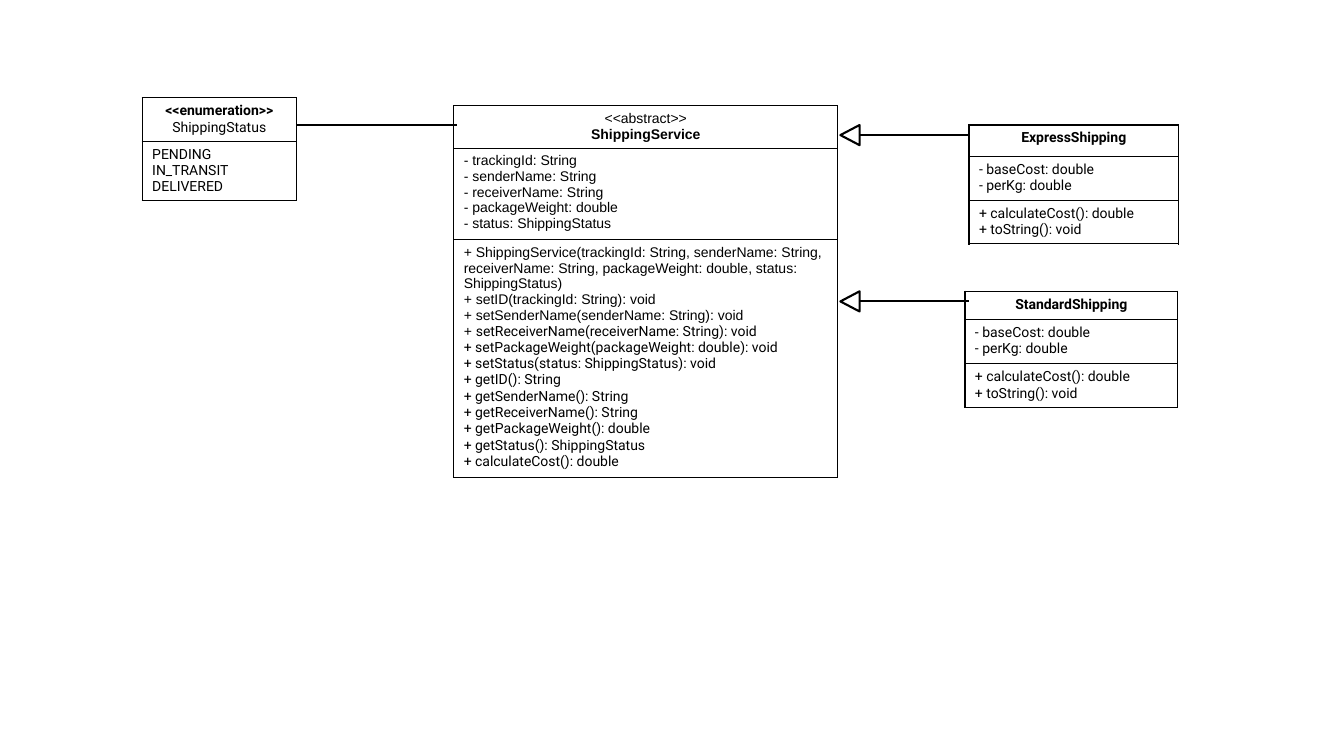
"""Build a UML class diagram slide for a shipping service."""
from pptx import Presentation
from pptx.dml.color import RGBColor
from pptx.enum import shapes, text
from pptx.oxml import parse_xml
from pptx.oxml.ns import nsdecls, qn
from pptx.oxml.xmlchemy import OxmlElement
from pptx.util import Inches, Pt

BLACK = RGBColor(0x00, 0x00, 0x00)
WHITE = RGBColor(0xFF, 0xFF, 0xFF)
ARIAL, ROBOTO = "Arial", "Roboto"


def lines(font, bold, *texts):
    return [[(t, font, bold)] for t in texts]


COST_FIELDS = lines(ROBOTO, False, "- baseCost: double", "- perKg: double")
COST_METHODS = lines(ROBOTO, False, "+ calculateCost(): double", "+ toString(): void")
SERVICE_HEAD = (lines(ARIAL, False, "<<abstract>>")
                + lines(ARIAL, True, "ShippingService"))
SERVICE_FIELDS = lines(
    ARIAL, False,
    "- trackingId: String",
    "- senderName: String",
    "- receiverName: String",
    "- packageWeight: double",
    "- status: ShippingStatus",
)
SERVICE_METHODS = lines(
    ARIAL, False,
    "+ ShippingService(trackingId: String, senderName: String, "
    "receiverName: String, packageWeight: double, status: ShippingStatus)",
    "+ setID(trackingId: String): void",
    "+ setSenderName(senderName: String): void",
) + [[
    ("+ ", ARIAL, False),
    ("setReceiverName(receiverName: String): void", ROBOTO, False),
]] + lines(
    ROBOTO, False,
    "+ setPackageWeight(packageWeight: double): void",
    "+ setStatus(status: ShippingStatus): void",
    "+ getID(): String",
    "+ getSenderName(): String",
    "+ getReceiverName(): String",
    "+ getPackageWeight(): double",
    "+ getStatus(): ShippingStatus",
    "+ calculateCost(): double",
)
STATUS_HEAD = (lines(ROBOTO, True, "<<enumeration>>")
               + lines(ROBOTO, False, "ShippingStatus"))
STATUS_VALUES = lines(ROBOTO, False, "PENDING", "IN_TRANSIT", "DELIVERED")

CLASSES = [
    (4.5, 1.05, 3.81, [(0.42, SERVICE_HEAD), (0.91, SERVICE_FIELDS),
                       (2.36, SERVICE_METHODS)]),
    (9.57, 2.89, 2.11, [(0.28, lines(ROBOTO, True, "StandardShipping")),
                        (0.44, COST_FIELDS), (0.43, COST_METHODS)]),
    (9.61, 1.24, 2.08, [(0.31, lines(ROBOTO, True, "ExpressShipping")),
                        (0.44, COST_FIELDS), (0.43, COST_METHODS)]),
    (1.41, 0.97, 1.53, [(0.43, STATUS_HEAD), (0.59, STATUS_VALUES)]),
]
LINKS = [(8.53, 9.61, 1.34), (8.53, 9.61, 2.99), (2.94, 4.53, 1.24)]
INHERITANCE_Y = [1.34, 2.99]
ARROW_X, ARROW_W, ARROW_H = 8.33, 0.2, 0.19


def add_borders(cell):
    tc_pr = cell._tc.get_or_add_tcPr()
    for side in "LRTB":
        tc_pr.append(parse_xml(
            f'<a:ln{side} {nsdecls("a")} w="{Pt(1)}"><a:solidFill>'
            f'<a:srgbClr val="{BLACK}"/></a:solidFill></a:ln{side}>'))


def fill_cell(cell, paragraphs, align):
    add_borders(cell)
    cell.fill.background()
    tf = cell.text_frame
    for i, runs in enumerate(paragraphs):
        p = tf.add_paragraph() if i else tf.paragraphs[0]
        p.alignment = align
        for words, font, bold in runs:
            r = p.add_run()
            r.text = words
            r.font.color.rgb = BLACK
            for key, value in {"name": font, "size": Pt(10), "bold": bold}.items():
                setattr(r.font, key, value)


def add_class(s, left, top, width, rows):
    height = sum(h for h, _ in rows)
    box = s.shapes.add_table(len(rows), 1, *map(Inches, (left, top, width, height)))
    table = box.table
    table.first_row = table.horz_banding = False
    for i, (h, paragraphs) in enumerate(rows):
        table.rows[i].height = Inches(h)
        align = text.PP_ALIGN.LEFT if i else text.PP_ALIGN.CENTER
        fill_cell(table.cell(i, 0), paragraphs, align)


def add_arrowhead(s, y):
    sp = s.shapes.add_shape(
        shapes.MSO_SHAPE.FLOWCHART_EXTRACT,
        *map(Inches, (ARROW_X, y - ARROW_H / 2, ARROW_W, ARROW_H)))
    sp.rotation = 270
    sp.shadow.inherit = False
    sp.fill.solid()
    sp.fill.fore_color.rgb = WHITE
    sp.line.color.rgb = BLACK
    sp.line.width = Pt(1.5)


def add_link(s, x1, x2, y):
    sp = s.shapes.add_connector(
        shapes.MSO_CONNECTOR.STRAIGHT, *map(Inches, (x1, y, x2, y)))
    sp.line.color.rgb = BLACK
    sp.line.width = Pt(1.5)
    sp._element.find(qn("p:spPr")).append(OxmlElement("a:effectLst"))


def main():
    prs = Presentation()
    prs.slide_width, prs.slide_height = Inches(13.33), Inches(7.5)
    s = prs.slides.add_slide(prs.slide_layouts[6])
    for spot in CLASSES:
        add_class(s, *spot)
    for y in INHERITANCE_Y:
        add_arrowhead(s, y)
    for link in LINKS:
        add_link(s, *link)
    prs.save("out.pptx")


if __name__ == "__main__":
    main()
